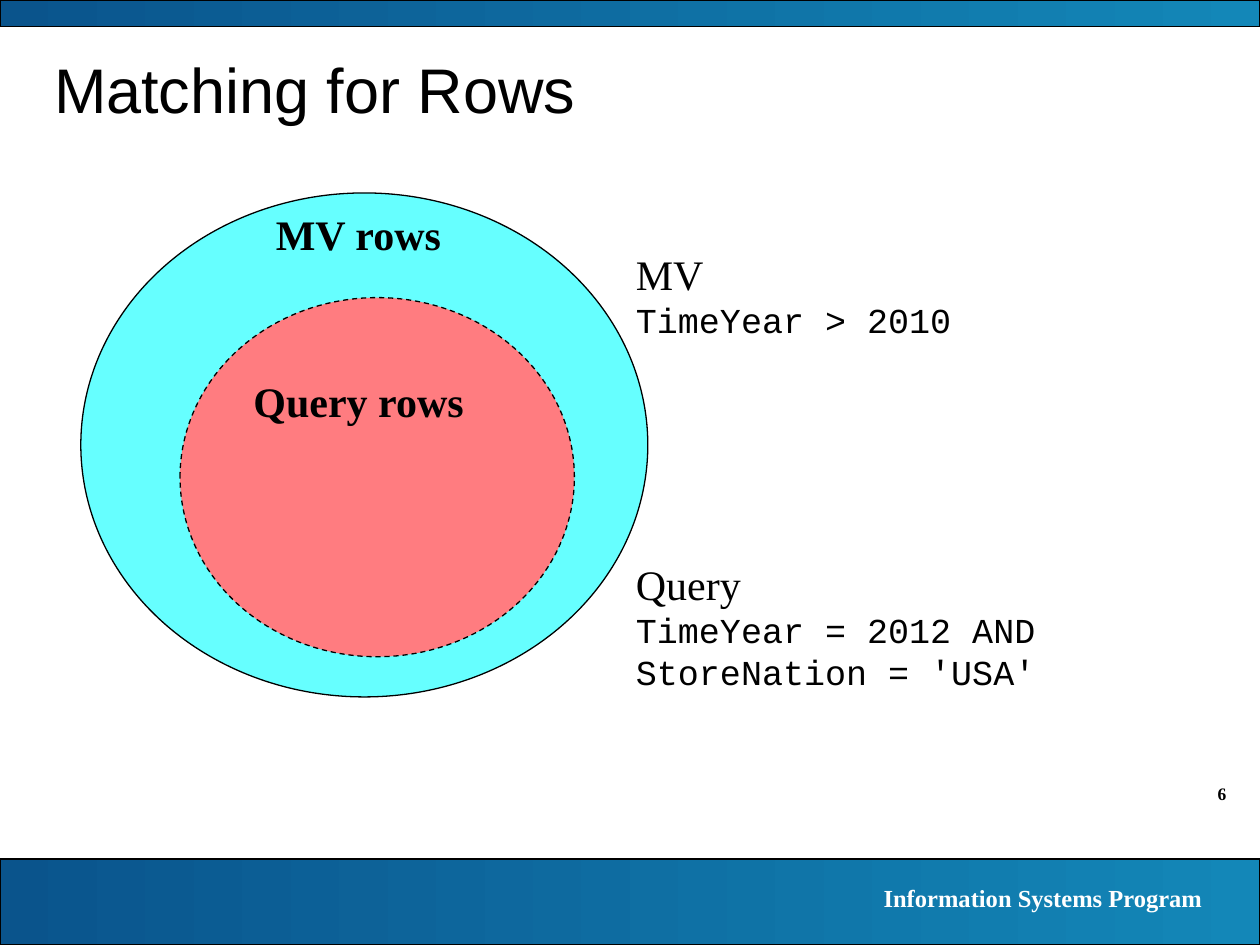
from pptx import Presentation
from pptx.dml.color import RGBColor
from pptx.enum.dml import MSO_LINE
from pptx.enum.shapes import MSO_SHAPE
from pptx.enum.text import MSO_ANCHOR, PP_ALIGN
from pptx.util import Cm, Pt

SERIF, SANS, MONO = "Times New Roman", "Arial", "Courier New"
WIDTH, HEIGHT = 25.4, 19.05


def rgb(value):
    return RGBColor.from_string(value)


def add_text(s, box, lines, color="000000", bold=False,
             align=PP_ALIGN.LEFT, anchor=MSO_ANCHOR.TOP):
    """Place lines of (text, font, size) in a box given in cm."""
    tf = s.shapes.add_textbox(*map(Cm, box)).text_frame
    tf.word_wrap = True
    tf.vertical_anchor = anchor
    tf.text = "\n".join(text for text, _, _ in lines)
    for p, (_, font, size) in zip(tf.paragraphs, lines):
        p.alignment = align
        r = p.runs[0]
        r.font.name, r.font.size, r.font.bold = font, Pt(size), bold
        r.font.color.rgb = rgb(color)


def add_outlined(s, kind, box):
    sp = s.shapes.add_shape(kind, *map(Cm, box))
    sp.shadow.inherit = False
    sp.line.color.rgb = rgb("000000")
    sp.line.width = Pt(0.75)
    return sp


def add_band(s, box):
    fill = add_outlined(s, MSO_SHAPE.RECTANGLE, box).fill
    fill.gradient()
    fill.gradient_angle = 0
    for stop, color, position in zip(fill.gradient_stops, ("0A548C", "1387B8"), (0, 1)):
        stop.color.rgb = rgb(color)
        stop.position = position


def add_frame(s, left, top, width, height):
    """Top band, footer band with programme name, and page number."""
    footer = 1.73
    bottom = top + height
    right = left + width
    add_text(s, (right - 2.54, bottom - 3.38, 2.11, 0.69), [("6", SERIF, 10)],
             bold=True, align=PP_ALIGN.RIGHT)
    add_band(s, (left, bottom - footer, width, footer))
    add_band(s, (left, top, width, 0.53))
    add_text(s, (right - 11.3, bottom - 1.37, 10.39, 0.86),
             [("Information Systems Program", SERIF, 14)],
             color="FFFFFF", bold=True, align=PP_ALIGN.RIGHT)


def add_row_sets(s, left, top, width, height):
    """Query rows as a subset of the materialized rows."""
    mv = add_outlined(s, MSO_SHAPE.OVAL, (left, top, width, height))
    mv.fill.solid()
    mv.fill.fore_color.rgb = rgb("66FFFF")
    query = add_outlined(s, MSO_SHAPE.OVAL, (left + 2, top + 2.11, 7.95, 7.24))
    query.fill.solid()
    query.fill.fore_color.rgb = rgb("FF7C80")
    query.line.dash_style = MSO_LINE.DASH
    for text, dx, dy, w in (("MV rows", 3.68, 0.18, 4.06),
                            ("Query rows", 3.23, 3.56, 4.98)):
        add_text(s, (left + dx, top + dy, w, 1.27), [(text, SERIF, 24)], bold=True)


def add_conditions(s, left, top, width, height):
    """Row conditions: the view at the top, the query at the bottom."""
    query_height = 3
    add_text(s, (left, top, width, 2.13),
             [("MV", SERIF, 24), ("TimeYear > 2010", MONO, 20)])
    add_text(s, (left, top + height - query_height, width, query_height),
             [("Query", SERIF, 24), ("TimeYear = 2012 AND", MONO, 20),
              ("StoreNation = 'USA'", MONO, 20)])


def main():
    prs = Presentation()
    prs.slide_width, prs.slide_height = Cm(WIDTH), Cm(HEIGHT)
    s = prs.slides.add_slide(prs.slide_layouts[6])
    add_frame(s, 0, 0, WIDTH, HEIGHT)
    add_text(s, (0.84, 0.84, 23.29, 1.9), [("Matching for Rows", SANS, 36)],
             anchor=MSO_ANCHOR.MIDDLE)
    add_row_sets(s, 1.63, 3.89, 11.43, 10.16)
    add_conditions(s, 12.57, 4.88, 11.3, 9.25)
    prs.save("out.pptx")


if __name__ == "__main__":
    main()
